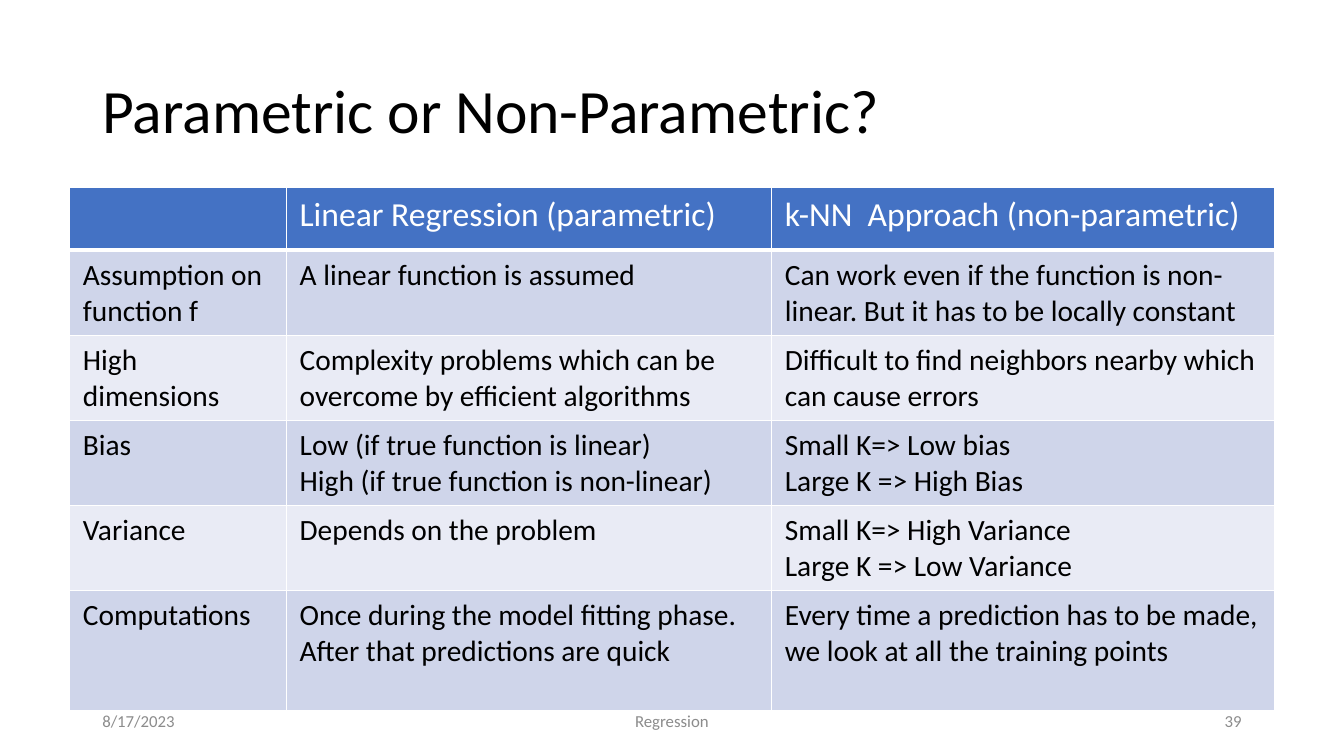
from pptx import Presentation
from pptx.dml.color import RGBColor
from pptx.enum.text import MSO_ANCHOR, PP_ALIGN
from pptx.oxml.ns import qn
from pptx.util import Pt
from lxml import etree

MIDDLE = MSO_ANCHOR.MIDDLE
LEFT, CENTER, RIGHT = PP_ALIGN.LEFT, PP_ALIGN.CENTER, PP_ALIGN.RIGHT

BLACK = RGBColor(0x00, 0x00, 0x00)
WHITE = RGBColor(0xFF, 0xFF, 0xFF)
GRAY = RGBColor(0x8C, 0x8C, 0x8C)
BLUE = RGBColor(0x44, 0x72, 0xC4)
BAND_DARK = RGBColor(0xCF, 0xD5, 0xEA)
BAND_LIGHT = RGBColor(0xE9, 0xEB, 0xF5)

COL_WIDTHS = [154.8, 346.6, 359]
ROW_HEIGHTS = [44.64] + [60.85] * 4 + [85.68]
ROWS = [
    ["", "Linear Regression (parametric)", "k-NN  Approach (non-parametric)"],
    ["Assumption on function f", "A linear function is assumed",
     "Can work even if the function is non-linear. But it has to be locally constant"],
    ["High dimensions",
     "Complexity problems which can be overcome by efficient algorithms",
     "Difficult to find neighbors nearby which can cause errors"],
    ["Bias",
     "Low (if true function is linear)\nHigh (if true function is non-linear)",
     "Small K=> Low bias\nLarge K => High Bias"],
    ["Variance", "Depends on the problem",
     "Small K=> High Variance\nLarge K => Low Variance"],
    ["Computations",
     "Once during the model fitting phase. After that predictions are quick",
     "Every time a prediction has to be made, we look at all the training points"],
]


class SlideBuilder:
    font = "Calibri"

    def __init__(self, slide):
        self.s = slide

    def style(self, p, size, color):
        p.font.name = self.font
        p.font.size = Pt(size)
        p.font.bold = False
        p.font.color.rgb = color

    def text(self, text, x, y, w, h, size, color, align=LEFT, spacing=1.0):
        tf = self.s.shapes.add_textbox(Pt(x), Pt(y), Pt(w), Pt(h)).text_frame
        tf.word_wrap = True
        tf.vertical_anchor = MIDDLE
        p = tf.paragraphs[0]
        p.text = text
        p.alignment = align
        p.line_spacing = spacing
        self.style(p, size, color)

    def border(self, cell, side, width):
        tcPr = cell._tc.get_or_add_tcPr()
        ln = etree.SubElement(tcPr, qn(f"a:ln{side}"), w=str(Pt(width)))
        fill = etree.SubElement(ln, qn("a:solidFill"))
        etree.SubElement(fill, qn("a:srgbClr"), val=str(WHITE))

    def cell(self, cell, text, size, color, fill, bottom):
        cell.margin_left = cell.margin_right = Pt(9.36)
        cell.margin_top = cell.margin_bottom = Pt(5.04)
        for side in "LRT":
            self.border(cell, side, 1)
        self.border(cell, "B", bottom)
        cell.fill.solid()
        cell.fill.fore_color.rgb = fill
        cell.text = text
        for p in cell.text_frame.paragraphs:
            self.style(p, size, color)

    def table(self, rows, x, y, widths, heights):
        tbl = self.s.shapes.add_table(len(rows), len(widths), Pt(x), Pt(y),
                                      Pt(sum(widths)), Pt(sum(heights))).table
        for col, width in zip(tbl.columns, widths):
            col.width = Pt(width)
        for i, (row, height) in enumerate(zip(rows, heights)):
            tbl.rows[i].height = Pt(height)
            if i == 0:
                look = (24, WHITE, BLUE, 3)
            else:
                look = (21, BLACK, BAND_DARK if i % 2 else BAND_LIGHT, 1)
            for j, text in enumerate(row):
                self.cell(tbl.cell(i, j), text, *look)


def main():
    prs = Presentation()
    prs.slide_width, prs.slide_height = Pt(960), Pt(540)
    b = SlideBuilder(prs.slides.add_slide(prs.slide_layouts[6]))

    # Title
    b.text("Parametric or Non-Parametric?", 66, 28.8, 828, 104.4, 44, BLACK,
           spacing=0.9)

    # Comparison table
    b.table(ROWS, 49.9, 134.1, COL_WIDTHS, ROW_HEIGHTS)

    # Footer
    for text, x, w, align in [("8/17/2023", 66, 216, LEFT),
                              ("Regression", 318, 324, CENTER),
                              ("39", 678, 216, RIGHT)]:
        b.text(text, x, 500.5, w, 28.75, 12, GRAY, align)

    prs.save("out.pptx")


if __name__ == "__main__":
    main()
